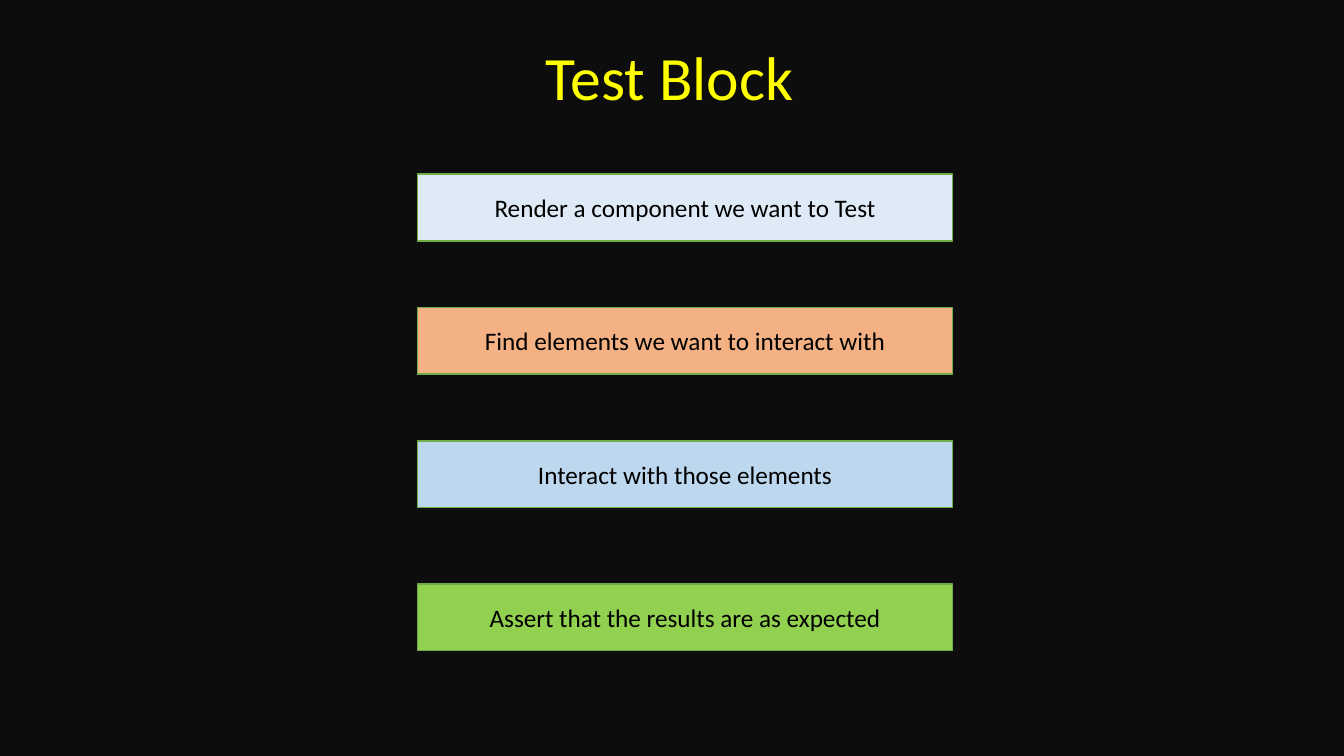
from dataclasses import dataclass

from pptx import Presentation
from pptx.dml.color import RGBColor
from pptx.enum import shapes, text
from pptx.util import Cm, Pt

# Content: step, fill, extra space above (cm)
TITLE = "Test Block"
STEPS = [
    ("Render a component we want to Test", "DEEBF7", 0),
    ("Find elements we want to interact with", "F4B183", 0),
    ("Interact with those elements", "BDD7EE", 0),
    ("Assert that the results are as expected", "92D050", 0.25),
]


@dataclass(frozen=True)
class Theme:
    font: str = "Calibri"
    background: str = "0D0D0D"
    title: str = "FFFF00"
    step: str = "000000"
    outline: str = "70AD47"
    title_size: int = 44
    step_size: int = 18
    outline_width: int = 1


THEME = Theme()

# Layout in cm
STEP_LEFT, STEP_TOP, STEP_WIDTH, STEP_HEIGHT = 10.52, 4.39, 13.49, 1.68
STEP_PITCH = 3.36
TITLE_BOX = (13.51, 0.86, 6.81, 2.13)


def write(shape, words, *, size, color, align, anchor):
    frame = shape.text_frame
    frame.word_wrap = True
    frame.vertical_anchor = anchor
    paragraph = frame.paragraphs[0]
    paragraph.alignment = align
    run = paragraph.add_run()
    run.text = words
    run.font.name = THEME.font
    run.font.size = Pt(size)
    run.font.color.rgb = RGBColor.from_string(color)


def add_step(slide, words, fill, top):
    step = slide.shapes.add_shape(
        shapes.MSO_SHAPE.RECTANGLE,
        Cm(STEP_LEFT), Cm(top), Cm(STEP_WIDTH), Cm(STEP_HEIGHT))
    step.shadow.inherit = False
    step.fill.solid()
    step.fill.fore_color.rgb = RGBColor.from_string(fill)
    step.line.color.rgb = RGBColor.from_string(THEME.outline)
    step.line.width = Pt(THEME.outline_width)
    write(step, words, size=THEME.step_size, color=THEME.step,
          align=text.PP_ALIGN.CENTER, anchor=text.MSO_ANCHOR.MIDDLE)


def main():
    deck = Presentation()
    deck.slide_width, deck.slide_height = Cm(33.87), Cm(19.05)
    slide = deck.slides.add_slide(deck.slide_layouts[6])
    slide.background.fill.solid()
    slide.background.fill.fore_color.rgb = RGBColor.from_string(THEME.background)

    # Title
    title = slide.shapes.add_textbox(*map(Cm, TITLE_BOX))
    write(title, TITLE, size=THEME.title_size, color=THEME.title,
          align=text.PP_ALIGN.LEFT, anchor=text.MSO_ANCHOR.TOP)
    title.text_frame.auto_size = text.MSO_AUTO_SIZE.SHAPE_TO_FIT_TEXT

    # Steps, top to bottom
    for row, (words, fill, extra) in enumerate(STEPS):
        add_step(slide, words, fill, STEP_TOP + row * STEP_PITCH + extra)

    deck.save("out.pptx")


if __name__ == "__main__":
    main()
